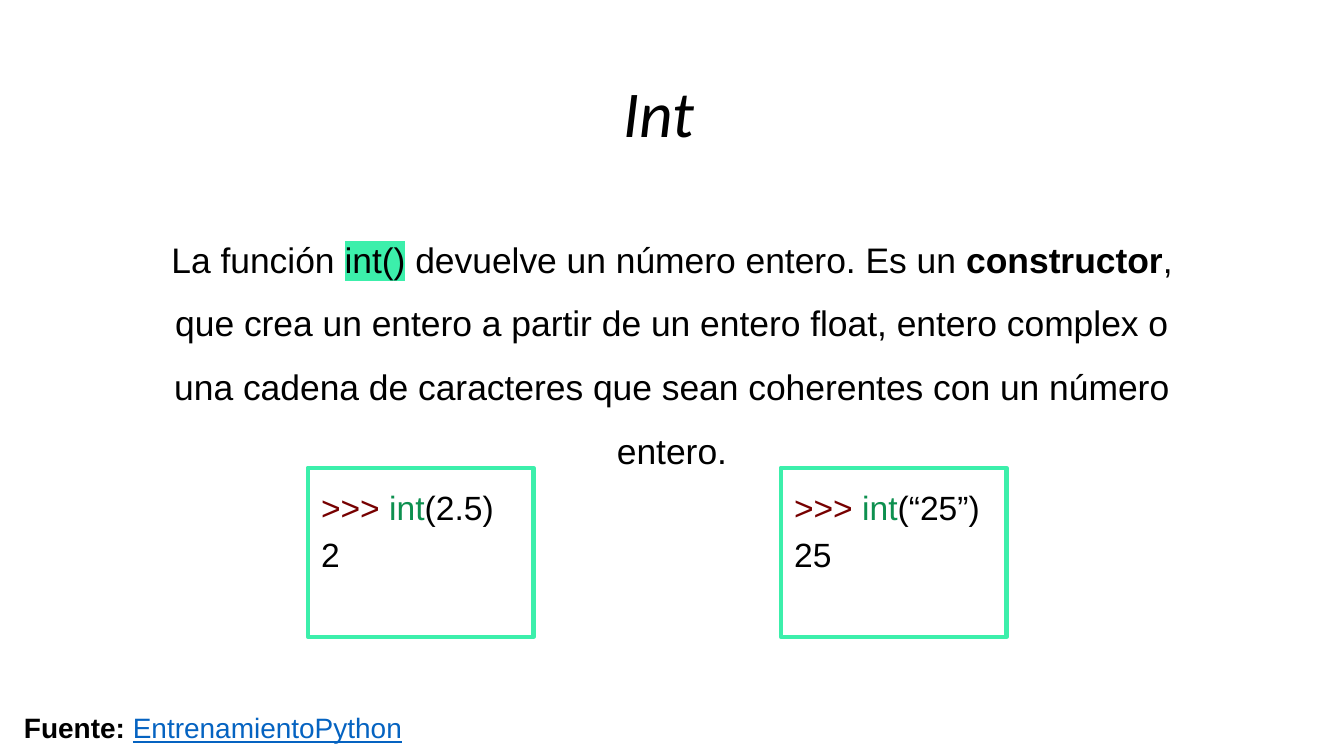
from dataclasses import dataclass

from lxml.etree import SubElement
from pptx import Presentation
from pptx.dml.color import RGBColor
from pptx.enum.shapes import MSO_SHAPE
from pptx.enum.text import MSO_ANCHOR, PP_ALIGN
from pptx.oxml.ns import qn
from pptx.shapes.autoshape import Shape
from pptx.slide import Slide
from pptx.text.text import TextFrame
from pptx.util import Inches, Pt

BLACK = "000000"
MINT = "3CEFAB"
PROMPT = "770000"
FUNCTION = "0D904F"
LINK = "0563C1"


@dataclass(frozen=True)
class Span:
    text: str
    color: str = BLACK
    bold: bool = False
    underline: bool = False
    highlight: str = ""


@dataclass(frozen=True)
class Style:
    size: float
    font: str = "Arial"
    align: PP_ALIGN = PP_ALIGN.LEFT
    spacing: float = 1.0
    italic: bool = False
    anchor: MSO_ANCHOR = MSO_ANCHOR.TOP


@dataclass(frozen=True)
class Example:
    left: float
    argument: str
    result: str


def rgb(color: str) -> RGBColor:
    return RGBColor.from_string(color)


def write(frame: TextFrame, lines: list[list[Span]], style: Style) -> None:
    frame.word_wrap = True
    frame.vertical_anchor = style.anchor
    frame.margin_left = frame.margin_right = Inches(0.1)
    frame.margin_top = frame.margin_bottom = Inches(0.1)
    for index, spans in enumerate(lines):
        para = frame.add_paragraph() if index else frame.paragraphs[0]
        para.alignment = style.align
        para.line_spacing = style.spacing
        para.font.name = style.font
        para.font.size = Pt(style.size)
        para.font.italic = style.italic
        for span in spans:
            run = para.add_run()
            run.text = span.text
            run.font.color.rgb = rgb(span.color)
            run.font.bold = span.bold
            run.font.underline = span.underline
            if span.highlight:
                mark = SubElement(run._r.get_or_add_rPr(), qn("a:highlight"))
                SubElement(mark, qn("a:srgbClr"), val=span.highlight)


def add_text(page: Slide, left: float, top: float, width: float, height: float,
             lines: list[list[Span]], style: Style) -> None:
    box = page.shapes.add_textbox(Inches(left), Inches(top), Inches(width), Inches(height))
    write(box.text_frame, lines, style)


def add_example(page: Slide, example: Example) -> Shape:
    box = page.shapes.add_shape(
        MSO_SHAPE.RECTANGLE, Inches(example.left), Inches(3.48), Inches(1.68), Inches(1.26))
    box.shadow.inherit = False
    box.fill.background()
    box.line.color.rgb = rgb(MINT)
    box.line.width = Pt(2.25)
    SubElement(box._element.spPr.find(qn("a:ln")), qn("a:round"))
    call = [Span(">>>", PROMPT), Span(" "), Span("int", FUNCTION), Span(f"({example.argument})")]
    write(box.text_frame, [call, [Span(example.result)]], Style(18, spacing=1.15))
    return box


def main() -> None:
    deck = Presentation()
    deck.slide_width = Inches(10)
    deck.slide_height = deck.slide_width * 9 // 16
    page = deck.slides.add_slide(deck.slide_layouts[5])

    title = page.shapes.title
    title.left, title.top = Inches(1.06), Inches(0.29)
    title.width, title.height = Inches(7.68), Inches(1.08)
    write(title.text_frame, [[Span("Int")]],
          Style(35, "Calibri", PP_ALIGN.CENTER, italic=True, anchor=MSO_ANCHOR.MIDDLE))

    definition = [
        Span("La función "),
        Span("int()", highlight=MINT),
        Span(" devuelve un número entero. Es un "),
        Span("constructor", bold=True),
        Span(", que crea un entero a partir de un entero float, entero complex o "
             "una cadena de caracteres que sean coherentes con un número entero."),
    ]
    add_text(page, 1.06, 1.51, 7.88, 4.11, [definition],
             Style(19, align=PP_ALIGN.CENTER, spacing=1.5))

    for example in (Example(2.29, "2.5", "2"), Example(5.81, "“25”", "25")):
        add_example(page, example)

    source = [Span("Fuente: ", bold=True), Span("EntrenamientoPython", LINK, underline=True)]
    add_text(page, 0.08, 5.15, 3.28, 0.45, [source], Style(15, spacing=1.15))

    deck.save("out.pptx")


if __name__ == "__main__":
    main()
